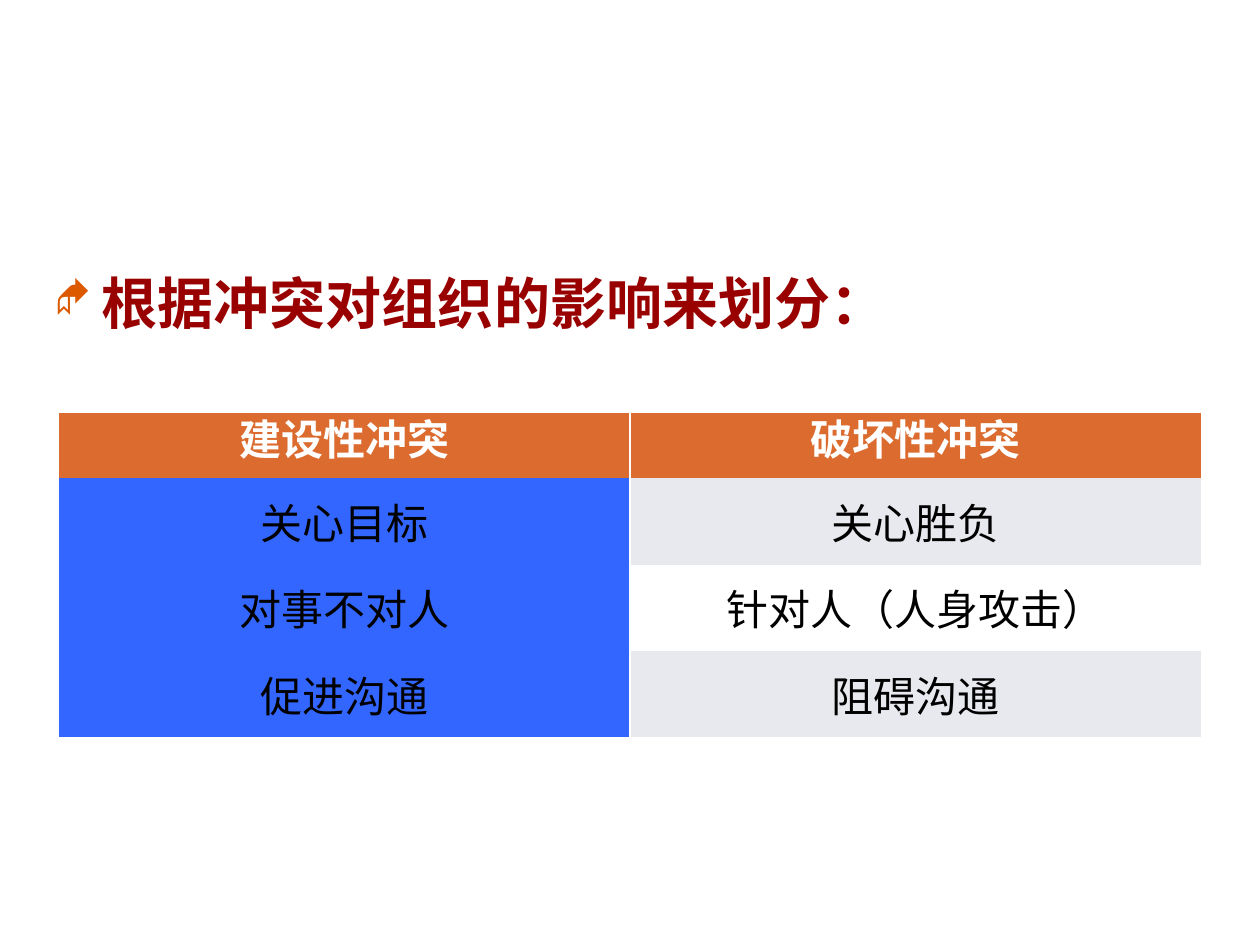
from lxml import etree
from pptx import Presentation
from pptx.dml.color import RGBColor
from pptx.enum.text import MSO_ANCHOR as Anchor, MSO_AUTO_SIZE as AutoSize, PP_ALIGN as Align
from pptx.oxml.ns import qn
from pptx.util import Cm, Pt

DARK_RED = RGBColor(0x99, 0x00, 0x00)
ORANGE = RGBColor(0xDB, 0x6B, 0x2E)
BULLET_ORANGE = RGBColor(0xDC, 0x59, 0x00)
BLUE = RGBColor(0x33, 0x66, 0xFF)
PALE_GREY = RGBColor(0xE8, 0xE8, 0xEF)
WHITE = RGBColor(0xFF, 0xFF, 0xFF)
BLACK = RGBColor(0x00, 0x00, 0x00)
TABLE_FONT = "Noto Sans CJK SC"
NO_STYLE = "{2D5ABB26-0587-4C30-8999-92F81FD0307C}"


def apply_format(target, values):
    for name, value in values.items():
        setattr(target, name, value)


def add_tag(parent, tag, **attributes):
    return etree.SubElement(parent, qn(tag), attributes)


deck = Presentation()
apply_format(deck, {"slide_width": Cm(25.4), "slide_height": Cm(19.05)})
slide = deck.slides.add_slide(deck.slide_layouts[1])
empty_title = slide.shapes.title.element
empty_title.getparent().remove(empty_title)

heading = slide.placeholders[1]
apply_format(heading, {"left": Cm(0.84), "top": Cm(5.28), "width": Cm(23.72), "height": Cm(11.66)})
apply_format(heading.text_frame, {"auto_size": AutoSize.NONE, "vertical_anchor": Anchor.TOP})
heading_line = heading.text_frame.paragraphs[0]
heading_run = heading_line.add_run()
heading_run.text = "根据冲突对组织的影响来划分："
apply_format(heading_run.font, {"name": "Arial", "size": Pt(32), "bold": True})
heading_run.font.color.rgb = DARK_RED

bullet = heading_line._p.get_or_add_pPr()
for name, indent in {"marL": Cm(0.96), "indent": Cm(-0.96)}.items():
    bullet.set(name, str(indent))
add_tag(add_tag(bullet, "a:buClr"), "a:srgbClr", val=str(BULLET_ORANGE))
add_tag(bullet, "a:buSzPct", val="75000")
add_tag(bullet, "a:buFont", typeface="Wingdings")
add_tag(bullet, "a:buChar", char="◆")

conflict_rows = [
    ("建设性冲突", "破坏性冲突"),
    ("关心目标", "关心胜负"),
    ("对事不对人", "针对人（人身攻击）"),
    ("促进沟通", "阻碍沟通"),
]
row_heights = [Cm(1.31)] + [Cm(1.74)] * 3
column_width = Cm(11.51)
comparison = slide.shapes.add_table(
    len(conflict_rows), 2, Cm(1.19), Cm(8.33), column_width * 2, sum(row_heights)
).table
apply_format(comparison, {"first_row": True, "horz_banding": False})
comparison._tbl.tblPr.find(qn("a:tableStyleId")).text = NO_STYLE
for column in comparison.columns:
    column.width = column_width

for row_index, labels in enumerate(conflict_rows):
    comparison.rows[row_index].height = row_heights[row_index]
    is_header = row_index == 0
    destructive_fill = PALE_GREY if row_index % 2 else WHITE
    row_fills = (ORANGE, ORANGE) if is_header else (BLUE, destructive_fill)
    side_margin = Cm(0.13) if is_header else Cm(0.18)
    for column_index, label in enumerate(labels):
        cell = comparison.cell(row_index, column_index)
        apply_format(cell, {
            "vertical_anchor": Anchor.MIDDLE,
            "margin_left": side_margin,
            "margin_right": side_margin,
            "margin_top": 0,
            "margin_bottom": 0,
        })
        cell.fill.solid()
        cell.fill.fore_color.rgb = row_fills[column_index]

        label_line = cell.text_frame.paragraphs[0]
        label_line.alignment = Align.CENTER
        if is_header:
            label_line.line_spacing = Pt(25)
        label_run = label_line.add_run()
        label_run.text = label
        apply_format(label_run.font, {"name": TABLE_FONT, "size": Pt(24), "bold": is_header})
        label_run.font.color.rgb = WHITE if is_header else BLACK
        add_tag(label_run._r.get_or_add_rPr(), "a:ea", typeface=TABLE_FONT)

        cell_properties = cell._tc.get_or_add_tcPr()
        divider = etree.Element(qn("a:lnL" if column_index else "a:lnR"), w=str(Pt(1)))
        add_tag(add_tag(divider, "a:solidFill"), "a:srgbClr", val=str(WHITE))
        cell_properties.insert(0, divider)

deck.save("out.pptx")
